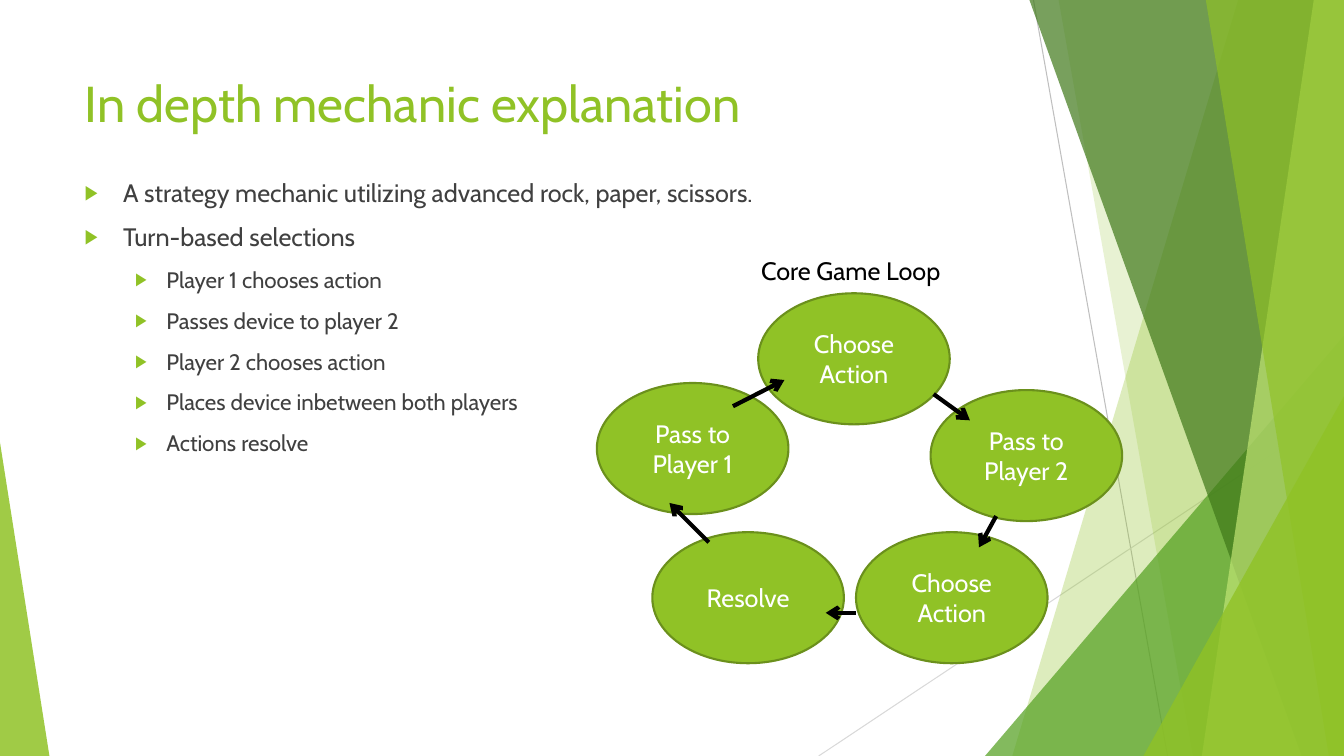
from collections import namedtuple
from dataclasses import dataclass

from lxml import etree
from pptx import Presentation
from pptx.dml.color import RGBColor
from pptx.enum.shapes import MSO_CONNECTOR, MSO_SHAPE
from pptx.enum.text import MSO_ANCHOR, MSO_AUTO_SIZE, PP_ALIGN
from pptx.oxml.ns import qn
from pptx.util import Inches, Pt

Box = namedtuple("Box", "left top width height")


@dataclass(frozen=True)
class Theme:
    """Colours, font and type sizes of the slide."""
    font: str = "Cabin"
    accent: str = "90C226"
    outline: str = "6B901C"
    leaf: str = "54A021"
    forest: str = "3F7819"
    lime: str = "C0E474"
    body: str = "404040"
    black: str = "000000"
    white: str = "FFFFFF"
    rule: str = "BFBFBF"
    pale_rule: str = "D9D9D9"
    title_size: int = 36
    text_size: int = 18
    sub_size: int = 16


THEME = Theme()
BULLETS = [
    (0, "A strategy mechanic utilizing advanced rock, paper, scissors."),
    (0, "Turn-based selections"),
    (1, "Player 1 chooses action"),
    (1, "Passes device to player 2"),
    (1, "Player 2 chooses action"),
    (1, "Places device inbetween both players"),
    (1, "Actions resolve"),
]
# Text and top left corner of each step, clockwise from the top
STEPS = [
    ("Choose Action", 1.6, 0.43),
    ("Pass to Player 2", 3.31, 1.39),
    ("Choose Action", 2.57, 2.8),
    ("Resolve", 0.55, 2.8),
    ("Pass to Player 1", 0, 1.32),
]
# Start and end of the arrow that leaves each step
ARROWS = [
    (3.34, 1.43, 3.7, 1.69),
    (3.96, 2.64, 3.79, 2.95),
    (2.57, 3.6, 2.27, 3.6),
    (1.11, 2.9, 0.72, 2.51),
    (1.35, 1.55, 1.86, 1.29),
]


def add_child(parent, tag, **attributes):
    """Append a DrawingML element and return it."""
    child = etree.SubElement(parent, qn(tag))
    for name, value in attributes.items():
        child.set(name, str(value))
    return child


def style_text(paragraph, size, color):
    """Format every run of a paragraph."""
    for run in paragraph.runs:
        run.font.name = THEME.font
        run.font.size = Pt(size)
        run.font.color.rgb = RGBColor.from_string(color)


def place(shape, box):
    """Move a shape to a box given in inches."""
    shape.left, shape.top, shape.width, shape.height = map(Inches, box)


def fill_shape(shape, color, opacity=100):
    """Give a shape a plain fill without line or shadow."""
    shape.shadow.inherit = False
    shape.fill.solid()
    shape.fill.fore_color.rgb = RGBColor.from_string(color)
    shape.line.fill.background()
    if opacity < 100:
        tint = shape.fill._xPr.find(qn("a:solidFill"))[0]
        add_child(tint, "a:alpha", val=opacity * 1000)


def add_line(page, start, end, color, width, arrow=False):
    """Draw a straight line, with an arrowhead at its end if wanted."""
    points = map(Inches, (*start, *end))
    line = page.shapes.add_connector(MSO_CONNECTOR.STRAIGHT, *points)
    line.line.color.rgb = RGBColor.from_string(color)
    line.line.width = Pt(width)
    if arrow:
        add_child(line.line._get_or_add_ln(), "a:tailEnd", type="arrow")
    add_child(line._element.spPr, "a:effectLst")


def add_facet(page, box, top_left, bottom_left, color, opacity):
    """Draw a band that runs from a slanted left edge to the box's right."""
    right, bottom = box.left + box.width, box.top + box.height
    corners = [(box.left + top_left, box.top), (right, box.top),
               (right, bottom), (box.left + bottom_left, bottom)]
    points = [(Inches(x), Inches(y)) for x, y in corners]
    builder = page.shapes.build_freeform(*points[0])
    builder.add_line_segments(points[1:], close=True)
    fill_shape(builder.convert_to_shape(), color, opacity)


def add_corner(page, box, width, height, color, opacity, at_right=True):
    """Draw a right triangle in a lower corner of the box."""
    left = box.left + (box.width - width if at_right else 0)
    top = box.top + box.height - height
    corner = page.shapes.add_shape(MSO_SHAPE.ISOSCELES_TRIANGLE,
                                   *map(Inches, (left, top, width, height)))
    corner.adjustments[0] = 1 if at_right else 0
    fill_shape(corner, color, opacity)


def add_backdrop(page, box):
    """Draw the translucent green facets around the slide's edges."""
    right, bottom = box.left + box.width, box.top + box.height
    add_line(page, (box.left + 10.25, box.top), (box.left + 11.58, bottom),
             THEME.rule, 0.75)
    add_line(page, (right, box.top + 4.03), (box.left + 8.12, bottom),
             THEME.pale_rule, 0.75)
    add_facet(page, box, 12.28, 10.04, THEME.accent, 30)
    add_facet(page, box, 10.5, 11.83, THEME.accent, 20)
    add_corner(page, box, 3.56, 4.17, THEME.leaf, 72)
    add_facet(page, box, 10.21, 12.91, THEME.forest, 70)
    add_facet(page, box, 13.03, 11.92, THEME.lime, 70)
    add_facet(page, box, 11.96, 13.18, THEME.accent, 65)
    add_corner(page, box, 1.99, 3.57, THEME.accent, 80)
    add_corner(page, box, 0.49, 3.11, THEME.accent, 85, at_right=False)


def fill_title(title, box, text):
    """Place and format the title."""
    place(title, box)
    frame = title.text_frame
    frame.text = text
    frame.auto_size = MSO_AUTO_SIZE.NONE
    frame.vertical_anchor = MSO_ANCHOR.TOP
    frame.paragraphs[0].alignment = PP_ALIGN.LEFT
    style_text(frame.paragraphs[0], THEME.title_size, THEME.accent)


def fill_list(body, box, items):
    """Place the body and fill it with a two-level bulleted list."""
    place(body, box)
    frame = body.text_frame
    frame.text = "\n".join(text for _, text in items)
    frame.auto_size = MSO_AUTO_SIZE.NONE
    for paragraph, (level, _) in zip(frame.paragraphs, items):
        paragraph.level = level
        paragraph.space_before = Pt(10)
        style_text(paragraph, THEME.sub_size if level else THEME.text_size,
                   THEME.body)
        margin, hanging = [(0.38, 0.38), (0.81, 0.31)][level]
        properties = paragraph._p.get_or_add_pPr()
        properties.set("marL", str(Inches(margin)))
        properties.set("indent", str(-Inches(hanging)))
        tint = add_child(properties, "a:buClr")
        add_child(tint, "a:srgbClr", val=THEME.accent)
        add_child(properties, "a:buSzPct", val=80000)
        add_child(properties, "a:buFont", typeface="Arial")
        add_child(properties, "a:buChar", char="\u25b6")


def add_game_loop(page, box):
    """Draw the captioned loop of steps and the arrows between them."""
    for text, x, y in STEPS:
        step = page.shapes.add_shape(
            MSO_SHAPE.OVAL, Inches(box.left + x), Inches(box.top + y),
            Inches(1.9), Inches(1.3))
        fill_shape(step, THEME.accent)
        step.line.color.rgb = RGBColor.from_string(THEME.outline)
        step.line.width = Pt(1.5)
        frame = step.text_frame
        frame.text = text
        frame.word_wrap = True
        frame.vertical_anchor = MSO_ANCHOR.MIDDLE
        frame.paragraphs[0].alignment = PP_ALIGN.CENTER
        style_text(frame.paragraphs[0], THEME.text_size, THEME.white)
    for x1, y1, x2, y2 in ARROWS:
        add_line(page, (box.left + x1, box.top + y1),
                 (box.left + x2, box.top + y2), THEME.black, 3, arrow=True)
    caption = page.shapes.add_textbox(Inches(box.left + 1.53), Inches(box.top),
                                      Inches(2.08), Inches(0.4))
    caption.text_frame.text = "Core Game Loop"
    caption.text_frame.word_wrap = True
    style_text(caption.text_frame.paragraphs[0], THEME.text_size, THEME.black)


deck = Presentation()
deck.slide_width, deck.slide_height = Inches(13.33), Inches(7.5)
page = deck.slides.add_slide(deck.slide_layouts[1])
add_backdrop(page, Box(0, 0, 13.33, 7.5))
fill_title(page.shapes.title, Box(0.74, 0.67, 9.4, 1.44),
           "In depth mechanic explanation")
fill_list(page.placeholders[1], Box(0.74, 1.71, 9.4, 4.24), BULLETS)
add_game_loop(page, Box(5.92, 2.48, 5.21, 4.1))
deck.save("out.pptx")
